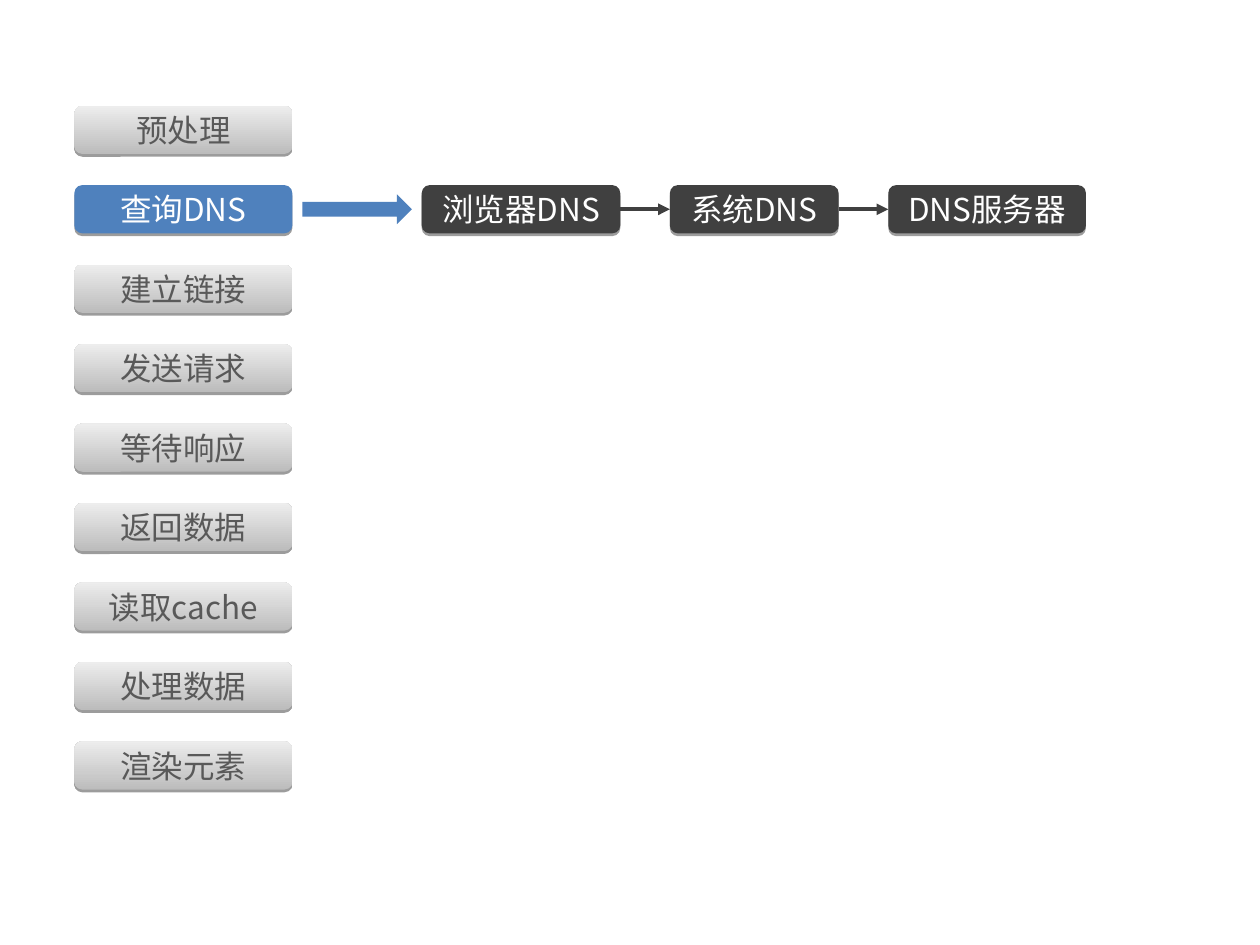
from lxml import etree
from pptx import Presentation
from pptx.dml.color import RGBColor
from pptx.enum import shapes, text
from pptx.oxml import parse_xml
from pptx.oxml.ns import qn
from pptx.util import Pt

BLUE = RGBColor(0x4F, 0x81, 0xBD)
DARK = RGBColor(0x40, 0x40, 0x40)
WHITE = RGBColor(0xFF, 0xFF, 0xFF)
GREY_TEXT = RGBColor(0x59, 0x59, 0x59)
GREY_FADE = (RGBColor(0xBC, 0xBC, 0xBC), RGBColor(0xED, 0xED, 0xED))
FONT = "Noto Sans CJK SC"

STEPS = ["预处理", "查询DNS", "建立链接", "发送请求", "等待响应",
         "返回数据", "读取cache", "处理数据", "渲染元素"]
ACTIVE = 1
LOOKUPS = [("浏览器DNS", 113.5), ("系统DNS", 96.5), ("DNS服务器", 113)]

BOX_H = 27.6
STEP_PITCH = 45.4
LOOKUP_GAP = 28.3

SHADOW = ('<a:outerShdw xmlns:a="http://schemas.openxmlformats.org/drawingml/2006/main" '
          'blurRad="0" dist="20320" dir="5400000" rotWithShape="0">'
          '<a:srgbClr val="000000"><a:alpha val="38000"/></a:srgbClr></a:outerShdw>')


def set_fill(sp, fill):
    """Fill with one colour, or fade upwards through a pair of colours."""
    if isinstance(fill, RGBColor):
        sp.fill.solid()
        sp.fill.fore_color.rgb = fill
    else:
        sp.fill.gradient()
        sp.fill.gradient_angle = 90
        for stop, colour in zip(sp.fill.gradient_stops, fill):
            stop.color.rgb = colour
    sp.line.fill.background()


def add_button(s, x, y, w, label, fill, colour):
    sp = s.shapes.add_shape(shapes.MSO_SHAPE.ROUNDED_RECTANGLE,
                            Pt(x), Pt(y), Pt(w), Pt(BOX_H))
    set_fill(sp, fill)
    sp.shadow.inherit = False
    sp._element.spPr.find(qn("a:effectLst")).append(parse_xml(SHADOW))
    tf = sp.text_frame
    tf.vertical_anchor = text.MSO_ANCHOR.MIDDLE
    p = tf.paragraphs[0]
    p.alignment = text.PP_ALIGN.CENTER
    r = p.add_run()
    r.text = label
    for name, value in {"size": Pt(18), "name": FONT}.items():
        setattr(r.font, name, value)
    r.font.color.rgb = colour
    r.font.fill.fore_color.rgb = colour
    latin = r._r.rPr.find(qn("a:latin"))
    latin.addnext(etree.Element(qn("a:ea"), typeface=FONT))
    return sp


def add_link(s, start, end):
    """Join the right side of one button to the left side of the next."""
    line = s.shapes.add_connector(shapes.MSO_CONNECTOR.STRAIGHT, 0, 0, 0, 0)
    line.begin_connect(start, 3)
    line.end_connect(end, 1)
    line.line.width = Pt(2.25)
    line.line.color.rgb = DARK
    etree.SubElement(line.line._get_or_add_ln(), qn("a:tailEnd"), type="triangle")
    etree.SubElement(line._element.spPr, qn("a:effectLst"))


def add_steps(s, x, y, w):
    for i, label in enumerate(STEPS):
        fill, colour = (BLUE, WHITE) if i == ACTIVE else (GREY_FADE, GREY_TEXT)
        add_button(s, x, y + i * STEP_PITCH, w, label, fill, colour)


def add_lookups(s, x, y):
    previous = None
    for label, w in LOOKUPS:
        button = add_button(s, x, y, w, label, DARK, WHITE)
        if previous is not None:
            add_link(s, previous, button)
        previous = button
        x += w + LOOKUP_GAP


def add_block_arrow(s, x, y, w, h):
    sp = s.shapes.add_shape(shapes.MSO_SHAPE.RIGHT_ARROW, Pt(x), Pt(y), Pt(w), Pt(h))
    set_fill(sp, BLUE)
    sp.shadow.inherit = False


def main():
    prs = Presentation()
    prs.slide_width, prs.slide_height = Pt(720), Pt(540)
    s = prs.slides.add_slide(prs.slide_layouts[6])
    top = 60.4
    row = top + ACTIVE * STEP_PITCH
    add_steps(s, 42.5, top, 124.6)
    add_lookups(s, 241, row)
    arrow_h = 17
    add_block_arrow(s, 172.8, row + (BOX_H - arrow_h) / 2, 62.6, arrow_h)
    prs.save("out.pptx")


if __name__ == "__main__":
    main()
